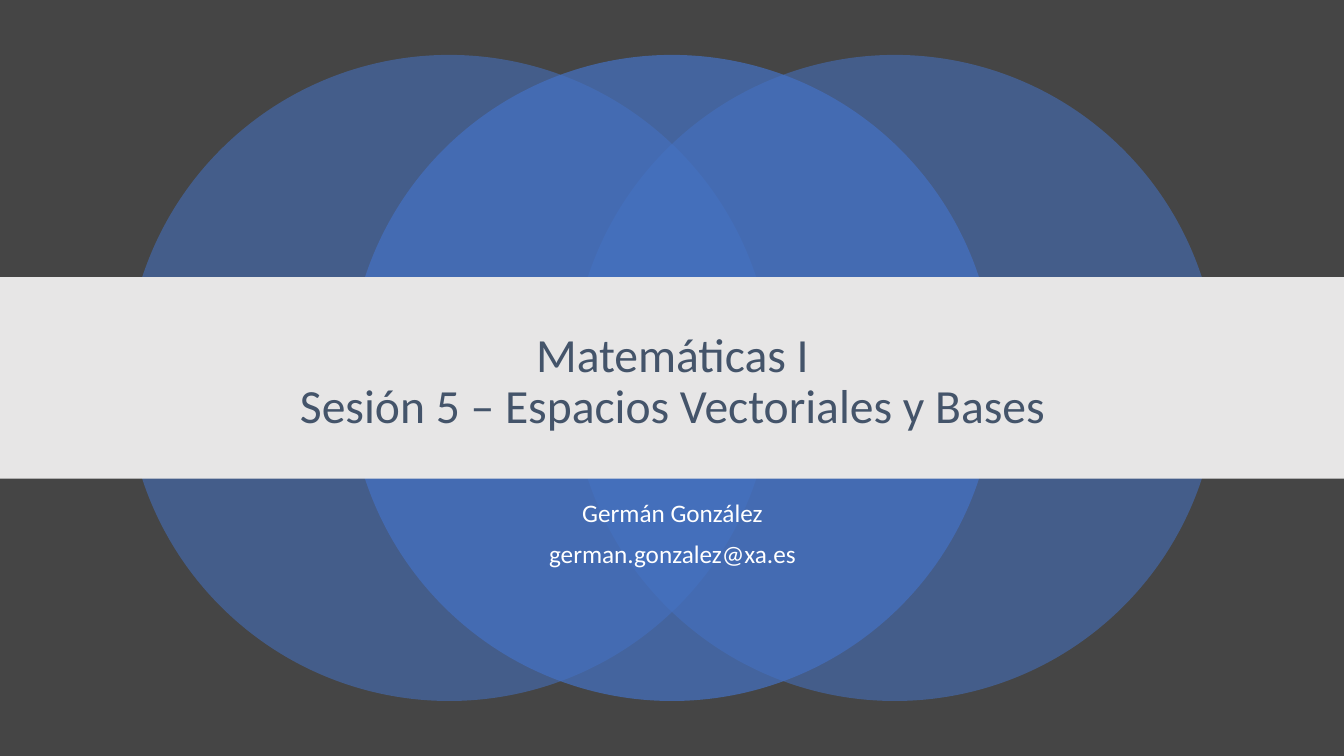
from lxml import etree
from pptx import Presentation
from pptx.dml.color import RGBColor
from pptx.enum.shapes import MSO_SHAPE
from pptx.enum.text import MSO_ANCHOR, MSO_AUTO_SIZE, PP_ALIGN
from pptx.oxml.ns import qn
from pptx.util import Inches, Pt

OVAL, RECT = MSO_SHAPE.OVAL, MSO_SHAPE.RECTANGLE
TOP, MID = MSO_ANCHOR.TOP, MSO_ANCHOR.MIDDLE
CENTER, FIXED = PP_ALIGN.CENTER, MSO_AUTO_SIZE.NONE
WIDE, HIGH = 13.33, 7.5
TITLE_ONLY = 5


def color(code):
    return RGBColor.from_string(code)


def assign(item, values):
    for name, value in values.items():
        setattr(item, name, value)


class Cover:
    font = "Calibri"
    back, blue, band, ink, white = "454545", "4472C4", "E7E6E6", "44546A", "FFFFFF"

    def __init__(self, deck):
        self.slide = deck.slides.add_slide(deck.slide_layouts[TITLE_ONLY])
        self.shapes = self.slide.shapes
        fill = self.slide.background.fill
        fill.solid()
        fill.fore_color.rgb = color(self.back)

    def box(self, x, y, w, h):
        """Turn shares of the slide's size into a placement."""
        return {"left": Inches(x * WIDE), "top": Inches(y * HIGH),
                "width": Inches(w * WIDE), "height": Inches(h * HIGH)}

    def shape(self, kind, area, code, alpha=100):
        item = self.shapes.add_shape(kind, **self.box(*area))
        item.shadow.inherit = False
        item.line.fill.background()
        item.fill.solid()
        item.fill.fore_color.rgb = color(code)
        if alpha < 100:
            tint = item.fill._xPr.find(f".//{qn('a:srgbClr')}")
            etree.SubElement(tint, qn("a:alpha"), val=str(alpha * 1000))

    def label(self, item, text, size, code, anchor, gap=0):
        frame = item.text_frame
        frame.text = text
        assign(frame, {"word_wrap": True, "auto_size": FIXED, "vertical_anchor": anchor})
        for para in frame.paragraphs:
            assign(para, {"alignment": CENTER, "line_spacing": 0.9, "space_before": Pt(gap)})
            for run in para.runs:
                assign(run.font, {"name": self.font, "size": Pt(size), "bold": False})
                run.font.color.rgb = color(code)

    def text(self, area, text, size, code):
        item = self.shapes.add_textbox(**self.box(*area))
        self.label(item, text, size, code, TOP, gap=10)

    def title(self, area, text, size, code):
        """Fill the title placeholder and bring it to the front."""
        item = self.shapes.title
        assign(item, self.box(*area))
        self.label(item, text, size, code, MID)
        self.shapes._spTree.append(item._element)


def main():
    deck = Presentation()
    assign(deck, {"slide_width": Inches(WIDE), "slide_height": Inches(HIGH)})
    cover = Cover(deck)

    size, step = 6.41, 2.21
    for place, alpha in ((-1, 55), (1, 55), (0, 70)):
        left = (WIDE - size) / 2 + place * step
        area = (left / WIDE, (1 - size / HIGH) / 2, size / WIDE, size / HIGH)
        cover.shape(OVAL, area, cover.blue, alpha)

    cover.text((1.67 / WIDE, 4.92 / HIGH, 10 / WIDE, 0.83 / HIGH),
               "Germán González\ngerman.gonzalez@xa.es", 18, cover.white)
    cover.shape(RECT, (0, 2.75 / HIGH, 1, 2 / HIGH), cover.band)
    cover.title((1.67 / WIDE, 3.04 / HIGH, 10 / WIDE, 1.51 / HIGH),
                "Matemáticas I\vSesión 5 – Espacios Vectoriales y Bases", 34, cover.ink)
    deck.save("out.pptx")


if __name__ == "__main__":
    main()
